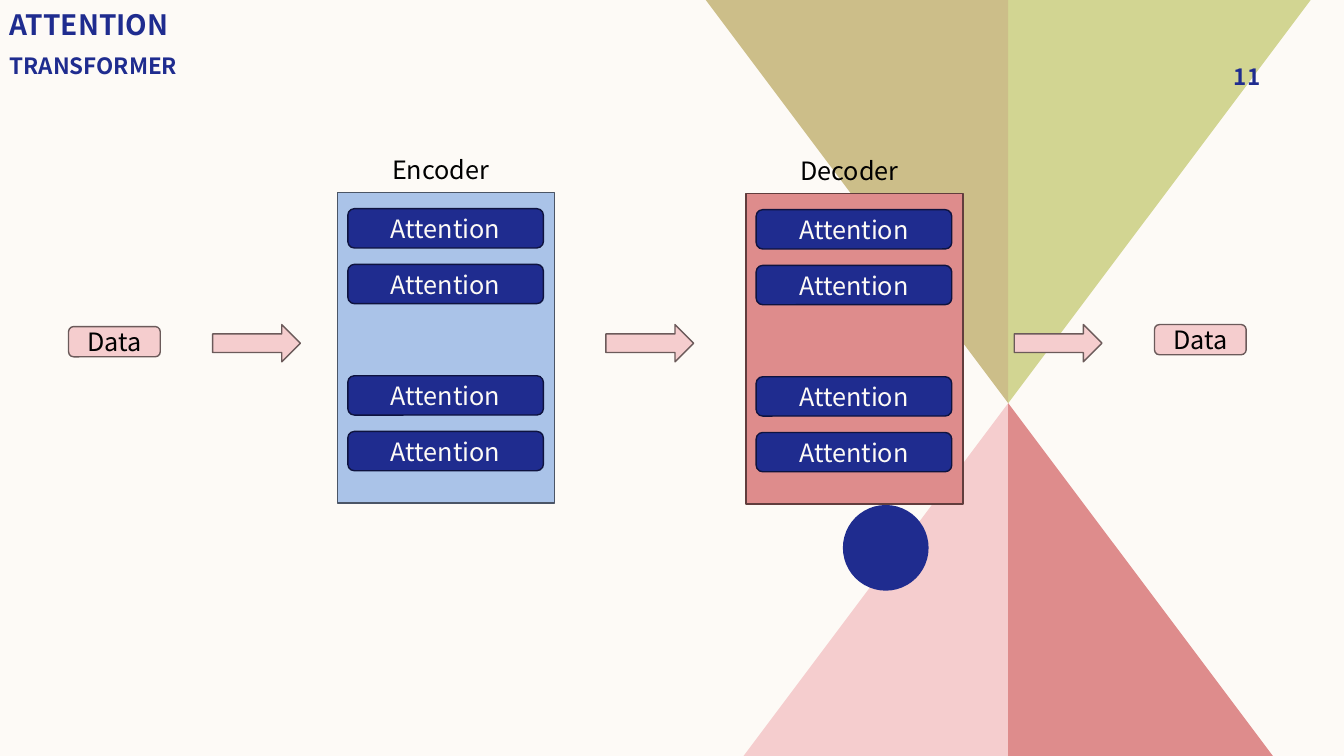
from pptx import Presentation
from pptx import util as u
from pptx.dml.color import RGBColor
from pptx.enum import shapes, text

# Content
HEADINGS = [("ATTENTION", 20), ("TRANSFORMER", 16)]
PAGE_NUMBER = "11"
LAYER = "Attention"
LAYER_SLOTS = (0, 1, 3, 4)  # the middle slot stays open

CREAM = RGBColor(0xFD, 0xFA, 0xF6)
NAVY = RGBColor(0x1F, 0x2C, 0x8F)
NAVY_EDGE = RGBColor(0x0E, 0x13, 0x3F)
PINK = RGBColor(0xF5, 0xCD, 0xCE)
PINK_EDGE = RGBColor(0x6B, 0x5A, 0x5A)
ROSE = RGBColor(0xDE, 0x8C, 0x8C)
ROSE_EDGE = RGBColor(0x61, 0x3D, 0x3D)
BLUE = RGBColor(0xAA, 0xC3, 0xE8)
BLUE_EDGE = RGBColor(0x4B, 0x55, 0x66)
LIME = RGBColor(0xD2, 0xD5, 0x92)
SAND = RGBColor(0xCC, 0xBE, 0x89)
BLACK = RGBColor(0, 0, 0)

# name, left, top, fill, edge
STACKS = [("Encoder", 3.35, 1.91, BLUE, BLUE_EDGE),
          ("Decoder", 7.4, 1.92, ROSE, ROSE_EDGE)]
DATA_ENDS = [("Data", 0.68, 3.24), ("Data", 11.45, 3.22)]
ARROW_LEFTS = (2.11, 6.01, 10.06)
# tip x, tip y, outer x, base y, fill
TRIANGLES = [(10.21, 3.72, 7.06, 7.52, PINK),
             (10.19, 3.72, 13.33, 7.52, ROSE),
             (10.19, 3.79, 13.35, 0, LIME),
             (10.21, 3.79, 7.07, 0, SAND)]

FONT = "Noto Sans CJK SC"
STACK_W, STACK_H = 2.15, 3.08
LAYER_W, LAYER_H = 1.94, 0.39
LAYER_INSET, LAYER_DROP = 0.1, 0.16
LAYER_PITCH = 2.21 / 4
HEADING_H = 0.37

prs = Presentation()
prs.slide_width, prs.slide_height = u.Inches(13.33), u.Inches(7.5)
slide = prs.slides.add_slide(prs.slide_layouts[6])
slide.background.fill.solid()
slide.background.fill.fore_color.rgb = CREAM


def paint(shape, fill, edge=None):
    shape.shadow.inherit = False
    shape.fill.solid()
    shape.fill.fore_color.rgb = fill
    if edge is None:
        shape.line.fill.background()
    else:
        shape.line.color.rgb = edge
        shape.line.width = u.Pt(1)


def add_block(kind, left, top, width, height, fill, edge=None):
    block = slide.shapes.add_shape(
        kind, *map(u.Inches, (left, top, width, height)))
    paint(block, fill, edge)
    return block


def add_label(left, top, width, height):
    return slide.shapes.add_textbox(
        *map(u.Inches, (left, top, width, height)))


def write(shape, words, size=18, color=BLACK, bold=False,
          align=text.PP_ALIGN.LEFT, anchor=text.MSO_ANCHOR.TOP,
          insets=(0.1, 0.05, 0.1, 0.05)):
    frame = shape.text_frame
    frame.word_wrap = True
    frame.vertical_anchor = anchor
    (frame.margin_left, frame.margin_top,
     frame.margin_right, frame.margin_bottom) = map(u.Inches, insets)
    paragraph = frame.paragraphs[0]
    paragraph.alignment = align
    run = paragraph.add_run()
    run.text = words
    run.font.name, run.font.size, run.font.bold = FONT, u.Pt(size), bold
    run.font.color.rgb = color


# Background triangles and dot
for tip_x, tip_y, outer_x, base_y, fill in TRIANGLES:
    outline = slide.shapes.build_freeform(tip_x, tip_y, scale=u.Inches(1))
    outline.add_line_segments([(outer_x, base_y), (tip_x, base_y)], close=True)
    paint(outline.convert_to_shape(), fill)
add_block(shapes.MSO_SHAPE.OVAL, 8.36, 5.01, 0.85, 0.85, NAVY)

# Headings and page number
for row, (heading, size) in enumerate(HEADINGS):
    write(add_label(0, 0.04 + row * HEADING_H, 4.52, HEADING_H), heading,
          size=size, color=NAVY, bold=True, anchor=text.MSO_ANCHOR.BOTTOM,
          insets=(0.1, 0, 0.1, 0))
write(add_label(11.33, 0.5, 1.17, 0.52), PAGE_NUMBER, size=16, color=NAVY,
      bold=True, align=text.PP_ALIGN.RIGHT, anchor=text.MSO_ANCHOR.MIDDLE,
      insets=(0.1, 0.05, 0, 0.05))

# Encoder and decoder stacks
centred = dict(align=text.PP_ALIGN.CENTER, anchor=text.MSO_ANCHOR.MIDDLE)
for name, left, top, fill, edge in STACKS:
    add_block(shapes.MSO_SHAPE.RECTANGLE, left, top, STACK_W, STACK_H,
              fill, edge)
    for slot in LAYER_SLOTS:
        layer = add_block(shapes.MSO_SHAPE.ROUNDED_RECTANGLE,
                          left + LAYER_INSET,
                          top + LAYER_DROP + slot * LAYER_PITCH,
                          LAYER_W, LAYER_H, NAVY, NAVY_EDGE)
        write(layer, LAYER, color=CREAM, **centred)
    write(add_label(left + 0.44, top - 0.43, 1.27, 0.42), name)

# Flow from input data to output data
for left in ARROW_LEFTS:
    add_block(shapes.MSO_SHAPE.RIGHT_ARROW, left, 3.22, 0.87, 0.37,
              PINK, PINK_EDGE)
for words, left, top in DATA_ENDS:
    write(add_block(shapes.MSO_SHAPE.ROUNDED_RECTANGLE, left, top, 0.91, 0.3,
                    PINK, PINK_EDGE), words, **centred)

prs.save("out.pptx")
